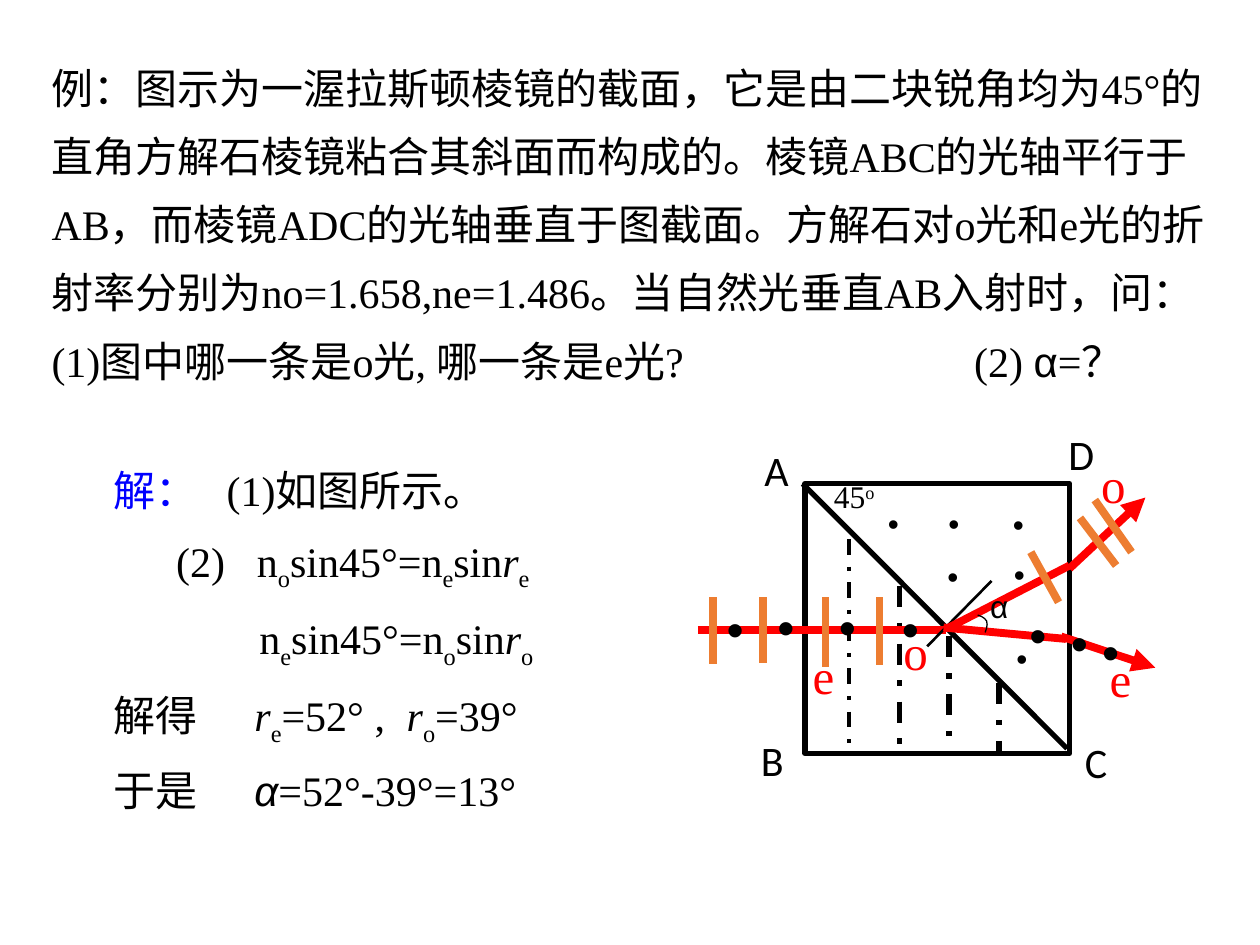
import pptx
import pptx.util
import pptx.dml.color
import pptx.enum.dml
import pptx.enum.shapes
import pptx.oxml.ns
import lxml.etree

Cm = pptx.util.Cm
Pt = pptx.util.Pt
qn = pptx.oxml.ns.qn
COLOURS = {"ink": "000000", "answer": "0000FF", "ray": "FF0000", "vibration": "ED7D31"}
SERIF = "Times New Roman"
SOLID = pptx.enum.dml.MSO_LINE.SOLID
DASH_DOT = pptx.enum.dml.MSO_LINE.DASH_DOT


def rgb(name):
    return pptx.dml.color.RGBColor.from_string(COLOURS[name])


def write_text(box, lines, size, font, colour="ink", wrap=True, spacing=None):
    frame = slide.shapes.add_textbox(*[Cm(length) for length in box]).text_frame
    frame.word_wrap = wrap
    for index, (stops, pieces) in enumerate(lines):
        paragraph = frame.add_paragraph() if index else frame.paragraphs[0]
        if spacing:
            paragraph.line_spacing = spacing
        if stops:
            tabs = lxml.etree.SubElement(paragraph._p.get_or_add_pPr(), qn("a:tabLst"))
            for stop in stops:
                lxml.etree.SubElement(tabs, qn("a:tab"), pos=str(Cm(stop)), algn="l")
        for words, *style in pieces:
            run = paragraph.add_run()
            run.text = words
            run.font.size = Pt(size)
            run.font.name = "Arial" if "α" in words else font
            run.font.color.rgb = rgb("answer" if "answer" in style else colour)
            if "italic" in style:
                run.font.italic = True
            for level, offset in (("sub", "-25000"), ("super", "30000")):
                if level in style:
                    run.font._element.set("baseline", offset)


def draw_line(ends, colour, width, dash=SOLID, arrow=False):
    line = slide.shapes.add_connector(
        pptx.enum.shapes.MSO_CONNECTOR.STRAIGHT, *[Cm(length) for length in ends])
    line.line.color.rgb = rgb(colour)
    line.line.width = Pt(width)
    line.line.dash_style = dash
    if arrow:
        lxml.etree.SubElement(line.line._get_or_add_ln(), qn("a:tailEnd"), type="triangle")
    lxml.etree.SubElement(line._element.spPr, qn("a:effectLst"))


deck = pptx.Presentation()
deck.slide_width, deck.slide_height = Cm(25.4), Cm(19.05)
slide = deck.slides.add_slide(deck.slide_layouts[6])

question = (
    "例：图示为一渥拉斯顿棱镜的截面，它是由二块锐角均为45°的直角方解石棱镜粘合其斜面而构成的。"
    "棱镜ABC的光轴平行于AB，而棱镜ADC的光轴垂直于图截面。"
    "方解石对o光和e光的折射率分别为no=1.658,ne=1.486。"
    "当自然光垂直AB入射时，问：(1)图中哪一条是o光, 哪一条是e光?\t(2) "
)
write_text((0.79, 0.79, 23.95, 7.11), [([18.6], [(question,), ("α",), ("=？",)])],
           24, SERIF, spacing=1.35)

solution = [
    ([2.29], [("解：", "answer"), ("\t(1)如图所示。",)]),
    ([1.27, 2.9], [("\t(2)\tn",), ("o", "sub"), ("sin45°=n",), ("e", "sub"),
                   ("sin",), ("r", "italic"), ("e", "sub")]),
    ([2.95], [("\tn",), ("e", "sub"), ("sin45°=n",), ("o", "sub"),
              ("sin",), ("r", "italic"), ("o", "sub")]),
    ([2.85, 5.92], [("解得\t",), ("r", "italic"), ("e", "sub"), ("=52° ,\t",),
                    ("r", "italic"), ("o", "sub"), ("=39°",)]),
    ([2.85], [("于是\t",), ("α", "italic"), ("=52°-39°=13°",)]),
]
write_text((2.03, 8.89, 12.4, 7.67), solution, 24, SERIF, spacing=1.35)

prism = slide.shapes.add_shape(
    pptx.enum.shapes.MSO_SHAPE.RECTANGLE, Cm(16.23), Cm(9.75), Cm(5.33), Cm(5.44))
prism.shadow.inherit = False
prism.fill.background()
prism.line.color.rgb = rgb("ink")
prism.line.width = Pt(3)
draw_line((16.18, 9.75, 21.51, 15.09), "ink", 3)

for x, top, bottom, width in [(17.12, 10.87, 15.09, 2.25), (18.14, 11.81, 15.09, 3),
                              (19.13, 12.83, 15.04, 3), (20.14, 13.77, 15.14, 3)]:
    draw_line((x, top, x, bottom), "ink", width, DASH_DOT)

for x, y in [(17.65, 10.03), (18.87, 10.03), (20.17, 10.06),
             (20.24, 12.75), (18.85, 11.1), (20.19, 11.07)]:
    write_text((x, y, 1.09, 1.02), [([], [("•",)])], 18, "Arial")

for ray_name, x, y in [("e", 22.12, 12.95), ("o", 21.95, 9.04),
                       ("o", 17.96, 12.4), ("e", 16.13, 12.88)]:
    write_text((x, y, 1.27, 1.45), [([], [(ray_name,)])], 28, SERIF, "ray")

draw_line((14.07, 12.7, 19.08, 12.7), "ray", 4.5)
for x, bottom in [(14.38, 13.39), (15.39, 13.36), (16.64, 13.44), (17.73, 13.41)]:
    draw_line((x, 12.04, x, bottom), "vibration", 4.5)

draw_line((19.99, 11.71, 18.69, 13.03), "ink", 1.5)
for ends, arrow in [((19.13, 12.65, 21.56, 11.4), False),
                    ((21.56, 11.46, 23.09, 10.03), True),
                    ((19.02, 12.65, 21.49, 12.88), False),
                    ((21.39, 12.83, 23.29, 13.46), True)]:
    draw_line(ends, "ray", 4.5, arrow=arrow)

arc_points = [(1979, 1243), (1985, 1247), (1989, 1252),
              (1990, 1259), (1989, 1266), (1986, 1275)]
arc_outline = slide.shapes.build_freeform(1971, 1240, scale=Cm(0.01))
arc_outline.add_line_segments(arc_points, close=False)
angle_arc = arc_outline.convert_to_shape()
angle_arc.shadow.inherit = False
angle_arc.fill.background()
angle_arc.line.color.rgb = rgb("ink")
angle_arc.line.width = Pt(0.75)
write_text((19.71, 11.71, 1.12, 1.02), [([], [("α",)])], 18, "Arial")

for ends in [(22.07, 10.08, 22.81, 11.13), (21.77, 10.44, 22.5, 11.4),
             (20.78, 11.13, 21.34, 12.14)]:
    draw_line(ends, "vibration", 4.5)

for x, y in [(14.4, 11.94), (15.42, 11.91), (16.66, 11.91), (17.93, 11.94),
             (21.34, 12.22), (21.97, 12.4), (20.5, 12.07)]:
    write_text((x, y, 1.27, 1.45), [([], [("•",)])], 28, "Arial")

write_text((16.56, 9.5, 1.83, 1.02), [([], [("45",), ("o", "super")])], 18, SERIF)
for corner, x, y in [("A", 15.16, 8.84), ("B", 15.09, 14.68),
                     ("C", 21.62, 14.73), ("D", 21.29, 8.51)]:
    write_text((x, y, 0.99, 1.27), [([], [(corner,)])], 24, "Calibri", wrap=False)

deck.save("out.pptx")
